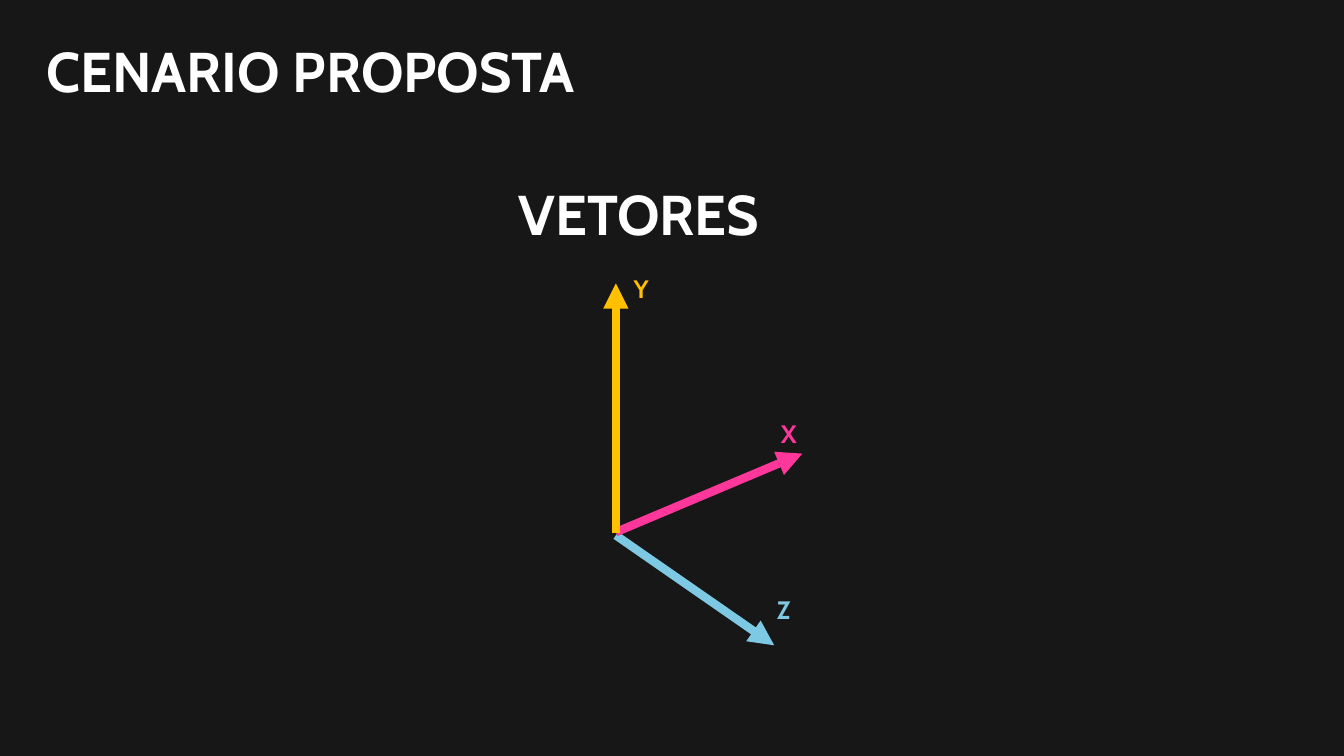
import pptx
import pptx.dml.color
import pptx.enum.shapes
import pptx.enum.text
import pptx.oxml.ns
import pptx.util
from pptx.util import Cm
import lxml.etree

WHITE = "FFFFFF"
AXES = [
    ("Z", "7DC8E3", 13.49, (19.51, 16.26), (19.33, 14.86)),
    ("X", "FF379B", 13.41, (20.22, 11.43), (19.43, 10.41)),
    ("Y", "FFC000", 13.44, (15.52, 7.14), (15.72, 6.76)),
]
START = 15.52


def paint(target, code):
    target.rgb = pptx.dml.color.RGBColor.from_string(code)


def write(box, text, size, code):
    frame = box.text_frame
    frame.text = text
    frame.word_wrap = True
    frame.auto_size = pptx.enum.text.MSO_AUTO_SIZE.SHAPE_TO_FIT_TEXT
    frame.vertical_anchor = pptx.enum.text.MSO_ANCHOR.TOP
    line = frame.paragraphs[0]
    line.alignment = pptx.enum.text.PP_ALIGN.CENTER
    font = line.runs[0].font
    font.name = "Cabin"
    font.size = pptx.util.Pt(size)
    font.bold = True
    paint(font.color, code)


def add_label(slide, text, left, top, width, height, size, code):
    box = slide.shapes.add_textbox(Cm(left), Cm(top), Cm(width), Cm(height))
    write(box, text, size, code)


def add_title(slide, text):
    title = slide.shapes.title
    title.left, title.top = Cm(0.58), Cm(0.79)
    title.width, title.height = Cm(14.5), Cm(1.96)
    write(title, text, 40, WHITE)


def add_back(slide, width, height):
    back = slide.shapes.add_shape(
        pptx.enum.shapes.MSO_SHAPE.RECTANGLE, 0, 0, width, height)
    back.shadow.inherit = False
    back.fill.solid()
    paint(back.fill.fore_color, "171717")
    back.line.fill.background()
    slide.shapes.title.element.addprevious(back.element)


def add_arrow(slide, top, tip, code):
    arrow = slide.shapes.add_connector(
        pptx.enum.shapes.MSO_CONNECTOR.STRAIGHT,
        Cm(START), Cm(top), Cm(tip[0]), Cm(tip[1]))
    arrow.line.width = pptx.util.Pt(6)
    arrow.line.fill.solid()
    paint(arrow.line.fill.fore_color, code)
    props = arrow.element.spPr
    name = pptx.oxml.ns.qn
    stroke = props.find(name("a:ln"))
    lxml.etree.SubElement(stroke, name("a:tailEnd"), type="triangle")
    lxml.etree.SubElement(props, name("a:effectLst"))


def main():
    deck = pptx.Presentation()
    deck.slide_width, deck.slide_height = Cm(33.87), Cm(19.05)
    slide = deck.slides.add_slide(deck.slide_layouts[5])
    add_back(slide, deck.slide_width, deck.slide_height)
    add_title(slide, "CENARIO PROPOSTA")
    for _, code, top, tip, _ in AXES:
        add_arrow(slide, top, tip, code)
    add_label(slide, "VETORES", 12.67, 4.39, 6.86, 1.96, 40, WHITE)
    for text, code, _, _, spot in AXES:
        add_label(slide, text, *spot, 0.79, 1.02, 18, code)
    deck.save("out.pptx")


if __name__ == "__main__":
    main()
